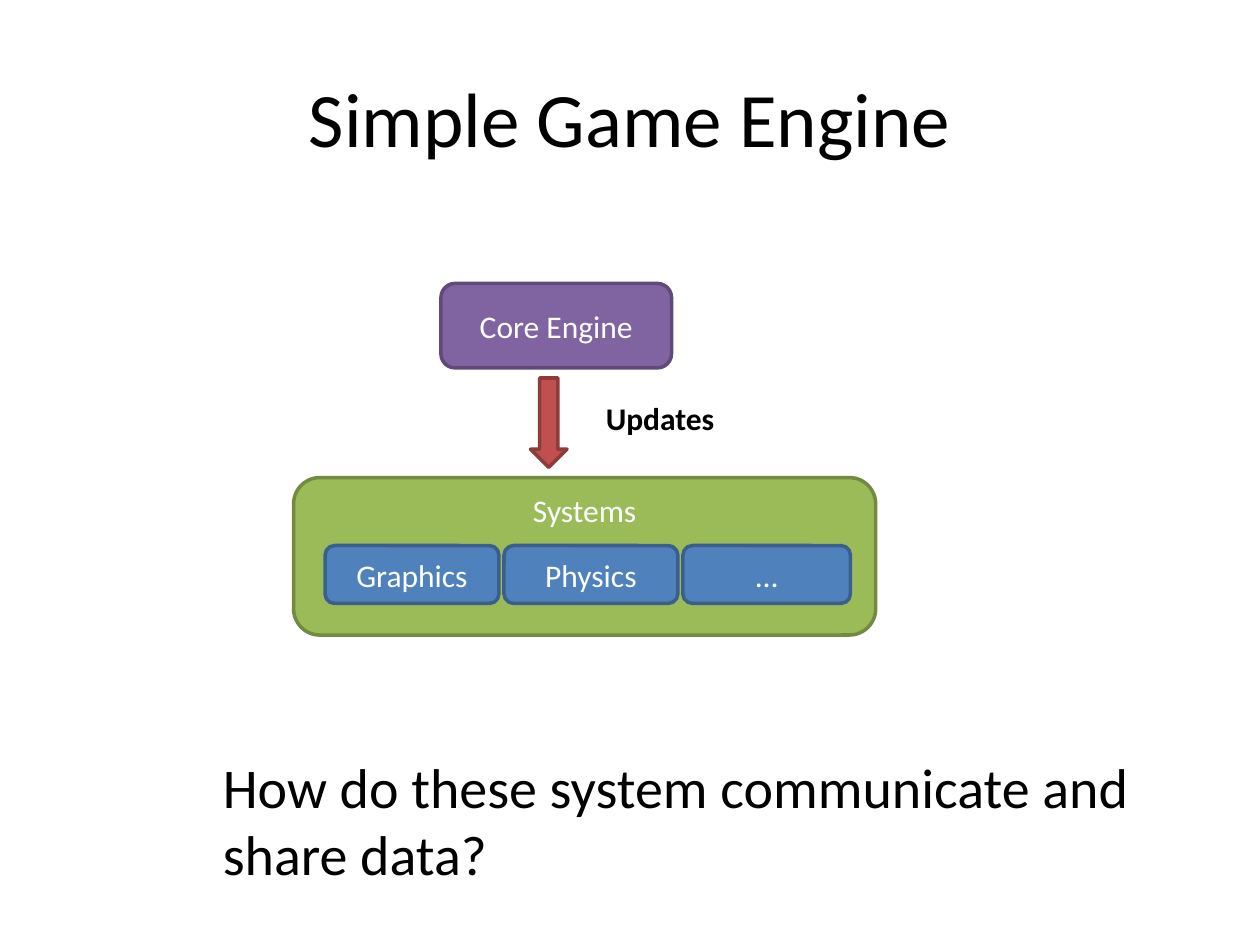
from pptx import Presentation
from pptx.dml.color import RGBColor
from pptx.enum.shapes import MSO_SHAPE
from pptx.enum.text import MSO_ANCHOR, PP_ALIGN
from pptx.util import Inches, Pt

BLACK = RGBColor(0x00, 0x00, 0x00)
WHITE = RGBColor(0xFF, 0xFF, 0xFF)
PURPLE = RGBColor(0x80, 0x64, 0xA2)
PURPLE_LINE = RGBColor(0x5F, 0x4A, 0x78)
GREEN = RGBColor(0x9B, 0xBB, 0x59)
GREEN_LINE = RGBColor(0x73, 0x8A, 0x42)
BLUE = RGBColor(0x4F, 0x81, 0xBD)
BLUE_LINE = RGBColor(0x3A, 0x5F, 0x8C)
RED = RGBColor(0xC0, 0x50, 0x4D)
RED_LINE = RGBColor(0x8E, 0x3B, 0x39)


def write(tf, text, color, align, anchor, wrap=True, **fmt):
    """Fill a text frame, one paragraph per line of text."""
    tf.word_wrap = wrap
    tf.vertical_anchor = anchor
    for i, line in enumerate(text.split("\n")):
        p = tf.paragraphs[0] if i == 0 else tf.add_paragraph()
        p.alignment = align
        r = p.add_run()
        r.text = line
        r.font.color.rgb = color
        for name, value in {"name": "Calibri", "size": Pt(18), **fmt}.items():
            setattr(r.font, name, value)


def add_label(s, box, text, align=PP_ALIGN.LEFT, anchor=MSO_ANCHOR.TOP, **fmt):
    """Add a black text box."""
    tb = s.shapes.add_textbox(*map(Inches, box))
    write(tb.text_frame, text, BLACK, align, anchor, **fmt)


def add_block(s, kind, box, fill, line, text="", anchor=MSO_ANCHOR.MIDDLE):
    """Add a filled, outlined shape with optional centred white text."""
    sp = s.shapes.add_shape(kind, *map(Inches, box))
    sp.shadow.inherit = False
    sp.fill.solid()
    sp.fill.fore_color.rgb = fill
    sp.line.color.rgb = line
    sp.line.width = Pt(2)
    if text:
        write(sp.text_frame, text, WHITE, PP_ALIGN.CENTER, anchor)


def add_systems(s):
    """Add the systems container and its row of systems."""
    rounded = MSO_SHAPE.ROUNDED_RECTANGLE
    add_block(s, rounded, (2.33, 3.79, 4.62, 1.25), GREEN, GREEN_LINE,
              "Systems", MSO_ANCHOR.TOP)
    left, gap = 2.58, 0.04
    for name, width in (("Graphics", 1.38), ("Physics", 1.38), ("…", 1.33)):
        add_block(s, rounded, (left, 4.33, width, 0.46), BLUE, BLUE_LINE, name)
        left += width + gap


def main():
    """Build the slide and save it."""
    prs = Presentation()
    prs.slide_width, prs.slide_height = Inches(10), Inches(7.5)
    s = prs.slides.add_slide(prs.slide_layouts[6])
    add_label(s, (0.5, 0.3, 9, 1.25), "Simple Game Engine",
              PP_ALIGN.CENTER, MSO_ANCHOR.MIDDLE, size=Pt(44))
    add_block(s, MSO_SHAPE.ROUNDED_RECTANGLE, (3.5, 2.25, 1.83, 0.67),
              PURPLE, PURPLE_LINE, "Core Engine")
    add_systems(s)
    add_label(s, (4.71, 3.12, 1.67, 0.4), "Updates", bold=True)
    add_block(s, MSO_SHAPE.DOWN_ARROW, (4.21, 3, 0.29, 0.71), RED, RED_LINE)
    add_label(s, (1.67, 5.92, 7.46, 1.18),
              "How do these system communicate and\nshare data?",
              wrap=False, size=Pt(32))
    prs.save("out.pptx")


main()
